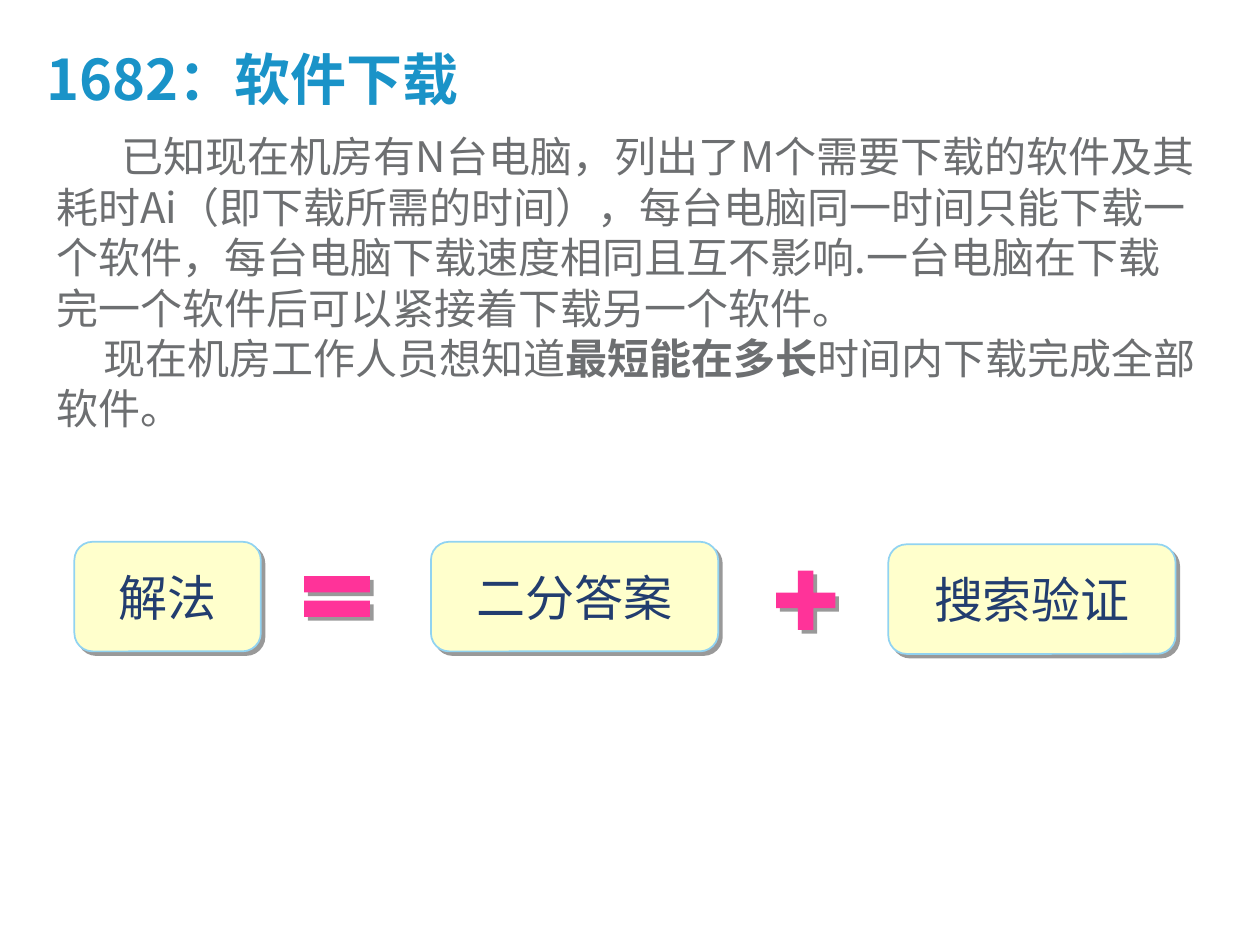
from lxml.etree import SubElement
from pptx import Presentation
from pptx.dml.color import RGBColor
from pptx.enum.shapes import MSO_SHAPE
from pptx.enum.text import MSO_ANCHOR, MSO_AUTO_SIZE, PP_ALIGN
from pptx.oxml.ns import qn
from pptx.util import Inches, Pt

TITLE_BLUE = RGBColor(0x1A, 0x93, 0xC8)
BODY_GRAY = RGBColor(0x6D, 0x6F, 0x71)
LABEL_NAVY = RGBColor(0x22, 0x3D, 0x6F)
CARD_YELLOW = RGBColor(0xFF, 0xFF, 0xCC)
CARD_EDGE = RGBColor(0x91, 0xD3, 0xF1)
SIGN_PINK = RGBColor(0xFF, 0x33, 0x99)


class SlideBuilder:
    """Holds the style and the current slide, and adds each kind of element."""

    font_name = "Noto Sans CJK SC"

    def __init__(self, slide):
        self.slide = slide

    def format_run(self, run, size, color, bold=False):
        run.font.size = Pt(size)
        run.font.bold = bold
        run.font.color.rgb = color
        run.font.name = self.font_name
        SubElement(run.font._element, qn("a:ea"), typeface=self.font_name)

    def text_box(self, left, top, width, height):
        box = self.slide.shapes.add_textbox(
            Inches(left), Inches(top), Inches(width), Inches(height))
        box.text_frame.word_wrap = True
        return box.text_frame

    def title(self, text, left, top, width, height):
        frame = self.text_box(left, top, width, height)
        frame.vertical_anchor = MSO_ANCHOR.BOTTOM
        frame.text = text
        heading = frame.paragraphs[0]
        heading.line_spacing = 0.9
        self.format_run(heading.runs[0], 32, TITLE_BLUE, bold=True)

    def body(self, statements, left, top, width, height):
        frame = self.text_box(left, top, width, height)
        frame.auto_size = MSO_AUTO_SIZE.SHAPE_TO_FIT_TEXT
        frame.text = "\n".join("" for _ in statements)
        for paragraph, (indent, pieces) in zip(frame.paragraphs, statements):
            properties = paragraph._p.get_or_add_pPr()
            properties.set("marL", "0")
            properties.set("indent", str(Inches(indent)))
            for text, bold in pieces:
                run = paragraph.add_run()
                run.text = text
                self.format_run(run, 24, BODY_GRAY, bold)

    def shadowed_shape(self, preset, fill, left, top, width, height):
        shape = self.slide.shapes.add_shape(
            preset, Inches(left), Inches(top), Inches(width), Inches(height))
        shape.fill.solid()
        shape.fill.fore_color.rgb = fill
        shape.shadow.inherit = False
        effects = shape._element.spPr.find(qn("a:effectLst"))
        shadow = SubElement(effects, qn("a:outerShdw"), blurRad="0",
                            dist=str(Pt(3)), dir="2700000",
                            algn="ctr", rotWithShape="0")
        black = SubElement(shadow, qn("a:srgbClr"), val="000000")
        SubElement(black, qn("a:alpha"), val="40000")
        return shape

    def card(self, label, left, top, width, height):
        card = self.shadowed_shape(
            MSO_SHAPE.ROUNDED_RECTANGLE, CARD_YELLOW, left, top, width, height)
        card.line.color.rgb = CARD_EDGE
        card.line.width = Pt(1)
        frame = card.text_frame
        frame.vertical_anchor = MSO_ANCHOR.MIDDLE
        frame.text = label
        frame.paragraphs[0].alignment = PP_ALIGN.CENTER
        self.format_run(frame.paragraphs[0].runs[0], 28, LABEL_NAVY)

    def sign(self, preset, left, top, width, height):
        sign = self.shadowed_shape(preset, SIGN_PINK, left, top, width, height)
        sign.line.fill.background()
        return sign


def main():
    presentation = Presentation()
    presentation.slide_width = Inches(10)
    presentation.slide_height = Inches(7.5)
    builder = SlideBuilder(
        presentation.slides.add_slide(presentation.slide_layouts[6]))

    builder.title("1682：软件下载", 0.27, 0.28, 9.01, 0.66)

    background = (
        "已知现在机房有N台电脑，列出了M个需要下载的软件及其耗时Ai"
        "（即下载所需的时间），每台电脑同一时间只能下载一个软件，"
        "每台电脑下载速度相同且互不影响.一台电脑在下载完一个软件后"
        "可以紧接着下载另一个软件。")
    question = [
        ("现在机房工作人员想知道", False),
        ("最短能在多长", True),
        ("时间内下载完成全部软件。", False),
    ]
    builder.body([(0.52, [(background, False)]), (0.37, question)],
                 0.35, 0.99, 9.27, 2.5)

    for label, left, top, width in [
        ("解法", 0.59, 4.3, 1.48),
        ("二分答案", 3.42, 4.3, 2.28),
        ("搜索验证", 7.05, 4.32, 2.28),
    ]:
        builder.card(label, left, top, width, 0.87)

    builder.sign(MSO_SHAPE.MATH_EQUAL, 2.32, 4.46, 0.71, 0.55)
    plus = builder.sign(MSO_SHAPE.CROSS, 6.16, 4.53, 0.47, 0.47)
    plus.adjustments[0] = 0.37

    presentation.save("out.pptx")


if __name__ == "__main__":
    main()
